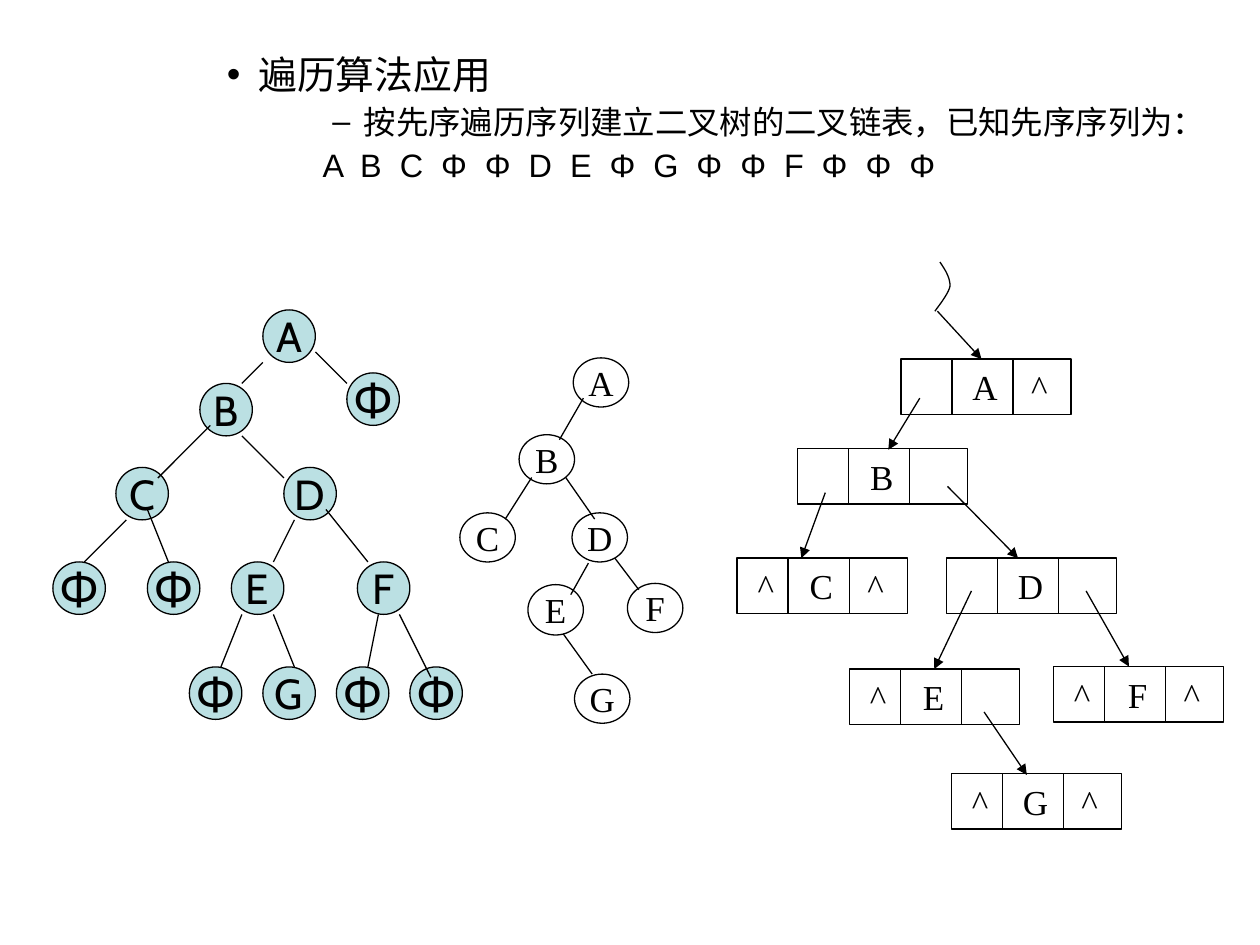
import lxml.etree
import pptx
import pptx.dml.color
import pptx.enum.shapes
import pptx.enum.text
import pptx.oxml.ns
import pptx.util

qn = pptx.oxml.ns.qn
ALIGN = pptx.enum.text.PP_ALIGN
ANCHOR = pptx.enum.text.MSO_ANCHOR
SHAPE = pptx.enum.shapes.MSO_SHAPE
INK, TEAL = "000000", "BBE0E3"
HAIRLINE = 0.75


class Grid:
    def __init__(self, box, columns, rows):
        self.left, self.top, width, height = box
        self.column, self.row = width / columns, height / rows

    def point(self, column, row):
        return (pptx.util.Inches(self.left + column * self.column),
                pptx.util.Inches(self.top + row * self.row))

    def size(self, columns, rows):
        return (pptx.util.Inches(columns * self.column),
                pptx.util.Inches(rows * self.row))


def colour(value):
    return pptx.dml.color.RGBColor.from_string(value)


def assign(target, values):
    for name, value in values.items():
        setattr(target, name, value)


def add_child(parent, tag, **attributes):
    child = lxml.etree.SubElement(parent, qn(tag))
    for name, value in attributes.items():
        child.set(name, str(value))
    return child


def write(para, text, font, size):
    span = para.add_run()
    span.text = text
    assign(span.font, {"name": font, "size": pptx.util.Pt(size)})
    span.font.color.rgb = colour(INK)
    return span


def outline(shape, fill=None):
    shape.shadow.inherit = False
    if fill:
        shape.fill.solid()
        shape.fill.fore_color.rgb = colour(fill)
    else:
        shape.fill.background()
    shape.line.width = pptx.util.Pt(HAIRLINE)
    shape.line.color.rgb = colour(INK)


def add_link(shapes, grid, start, end, arrow=False):
    link = shapes.add_connector(pptx.enum.shapes.MSO_CONNECTOR.STRAIGHT,
                                *grid.point(*start), *grid.point(*end))
    link.line.width = pptx.util.Pt(HAIRLINE)
    link.line.color.rgb = colour(INK)
    if arrow:
        add_child(link.line._get_or_add_ln(), "a:tailEnd", type="triangle")
    add_child(link._element.spPr, "a:effectLst")
    return link


def add_circle(shapes, grid, place, size, text, font, points, fill=None):
    circle = shapes.add_shape(SHAPE.OVAL, *grid.point(*place), *grid.size(*size))
    outline(circle, fill)
    assign(circle.text_frame, {"word_wrap": False, "vertical_anchor": ANCHOR.MIDDLE})
    para = circle.text_frame.paragraphs[0]
    para.alignment = ALIGN.CENTER
    write(para, text, font, points)


def fill_body(body, box):
    grid = Grid(box, 1, 1)
    (body.left, body.top), (body.width, body.height) = grid.point(0, 0), grid.size(1, 1)
    frame = body.text_frame
    assign(frame, {"word_wrap": True, "vertical_anchor": ANCHOR.TOP,
                   "auto_size": pptx.enum.text.MSO_AUTO_SIZE.NONE})
    lines = [
        ("遍历算法应用", 22.2, 2, "•", 1.25, -0.25, ALIGN.LEFT, 0),
        ("按先序遍历序列建立二叉树的二叉链表，已知先序序列为：", 18.5, 3, "–", 1.75, -0.25, ALIGN.CENTER, 5),
        ("A B C Φ Φ D E Φ G Φ Φ F Φ Φ Φ", 18.5, 3, None, 1.76, 0, ALIGN.LEFT, 5),
    ]
    for number, (text, size, level, bullet, margin, indent, align, before) in enumerate(lines):
        para = frame.add_paragraph() if number else frame.paragraphs[0]
        properties = para._p.get_or_add_pPr()
        properties.set("marL", str(pptx.util.Inches(margin)))
        properties.set("indent", str(pptx.util.Inches(indent)))
        if bullet:
            add_child(add_child(properties, "a:buClr"), "a:srgbClr", val=INK)
            add_child(properties, "a:buFont", typeface="Arial")
            add_child(properties, "a:buChar", char=bullet)
        else:
            add_child(properties, "a:buNone")
        assign(para, {"level": level, "alignment": align, "line_spacing": 0.9,
                      "space_before": pptx.util.Pt(before), "space_after": pptx.util.Pt(0)})
        span = write(para, text, "Arial", size)
        if not bullet:
            span._r.get_or_add_rPr().set("spc", "257")


def draw_extended_tree(shapes, box):
    grid = Grid(box, 39, 39)
    nodes = [("A", 20, 0), ("B", 14, 7), ("C", 6, 15), ("Φ", 0, 24), ("Φ", 9, 24),
             ("D", 22, 15), ("E", 17, 24), ("Φ", 13, 34), ("G", 20, 34), ("F", 29, 24),
             ("Φ", 34, 34), ("Φ", 27, 34), ("Φ", 28, 6)]
    edges = [((20, 5), (18, 7)), ((15, 11), (10, 16)), ((7, 20), (3, 24)),
             ((9, 19), (11, 24)), ((23, 20), (21, 24)), ((26, 19), (30, 24)),
             ((18, 12), (22, 16)), ((25, 4), (28, 7)), ((18, 29), (16, 34)),
             ((21, 29), (23, 34)), ((31, 29), (30, 34)), ((33, 29), (36, 35))]
    for text, column, row in nodes:
        add_circle(shapes, grid, (column, row), (5, 5), text, "Cabin",
                   28 if text == "Φ" else 24, TEAL)
    for start, end in edges:
        add_link(shapes, grid, start, end)


def draw_tree(shapes, box):
    grid = Grid(box, 18, 29)
    nodes = [("A", 9, 0), ("B", 4.7, 6.1), ("C", 0, 12.3), ("D", 8.9, 12.3),
             ("E", 5.4, 18), ("F", 13.3, 17.9), ("G", 9.1, 25.1)]
    edges = [((9.8, 3.2), (7.9, 6.5)), ((5.7, 9.5), (3.6, 12.8)), ((8.4, 9.5), (10.7, 12.8)),
             ((10.2, 16.3), (8.8, 18.8)), ((12.3, 15.9), (14.2, 18.4)), ((8.2, 21.9), (10.5, 25.1))]
    for text, column, row in nodes:
        add_circle(shapes, grid, (column, row), (4.4, 4 if text == "E" else 3.9),
                   text, "Times New Roman", 20)
    for start, end in edges:
        add_link(shapes, grid, start, end)


def add_record(shapes, grid, place, text):
    column, row = place
    width, height = 13.5, 4.4
    record = shapes.add_shape(SHAPE.RECTANGLE, *grid.point(*place), *grid.size(width, height))
    outline(record)
    assign(record.text_frame, {"word_wrap": True, "vertical_anchor": ANCHOR.MIDDLE})
    para = record.text_frame.paragraphs[0]
    para.alignment = ALIGN.LEFT
    stops = add_child(para._p.get_or_add_pPr(), "a:tabLst")
    for stop in (1.3, 5.7, 10):
        add_child(stops, "a:tab", pos=grid.size(stop, 0)[0], algn="ctr")
    write(para, text, "Times New Roman", 20)
    for divider in (4.05, 8.9):
        add_link(shapes, grid, (column + divider, row), (column + divider, row + height))
    return record


def bezier(points, steps=10):
    for step in range(steps + 1):
        t = step / steps
        weights = ((1 - t) ** 3, 3 * t * (1 - t) ** 2, 3 * t * t * (1 - t), t ** 3)
        yield tuple(sum(w * p[axis] for w, p in zip(weights, points)) for axis in (0, 1))


def draw_linked_list(shapes, box):
    grid = Grid(box, 39, 45)
    records = {"A": (13, 7.7, "\t\tA\t^"), "B": (4.8, 14.8, "\t\tB"), "C": (0, 23.5, "\t^\tC\t^"),
               "D": (16.6, 23.5, "\t\tD"), "E": (8.9, 32.3, "\t^\tE"),
               "F": (25.1, 32.1, "\t^\tF\t^"), "G": (17, 40.6, "\t^\tG\t^")}
    pointers = [((14.5, 10.8), (12, 14.9)), ((7, 18.3), (5.1, 23.5)),
                ((16.7, 17.8), (22.3, 23.5)), ((27.7, 26.1), (31.1, 32.1)),
                ((19.6, 35.7), (23, 40.7)), ((15.9, 3.9), (19.4, 7.7))]
    drawn = {name: add_record(shapes, grid, (column, row), text)
             for name, (column, row, text) in records.items()}
    for start, end in pointers:
        add_link(shapes, grid, start, end, arrow=True)
    add_link(shapes, grid, (18.6, 26.1), (15.65, 32.3), arrow=True).end_connect(drawn["E"], 0)
    curves = [((16.1, 0), (16.5, 0.6), (16.9, 1.2), (16.9, 1.9)),
              ((16.9, 1.9), (16.8, 2.5), (15.9, 3.6), (15.7, 3.9))]
    trail = [grid.point(*point) for curve in curves for point in bezier(curve)]
    builder = shapes.build_freeform(*trail[0])
    builder.add_line_segments(trail[1:], close=False)
    outline(builder.convert_to_shape())


def main():
    deck = pptx.Presentation()
    deck.slide_width, deck.slide_height = pptx.util.Inches(10), pptx.util.Inches(7.5)
    page = deck.slides.add_slide(deck.slide_layouts[1])
    title = page.shapes.title._element
    title.getparent().remove(title)
    fill_body(page.placeholders[1], (0.7, 0.39, 9.3, 1.26))
    draw_tree(page.shapes.add_group_shape().shapes, (3.65, 2.84, 1.8, 2.9))
    draw_linked_list(page.shapes.add_group_shape().shapes, (5.85, 2.08, 3.9, 4.5))
    draw_extended_tree(page.shapes, (0.42, 2.46, 3.25, 3.25))
    deck.save("out.pptx")


if __name__ == "__main__":
    main()
